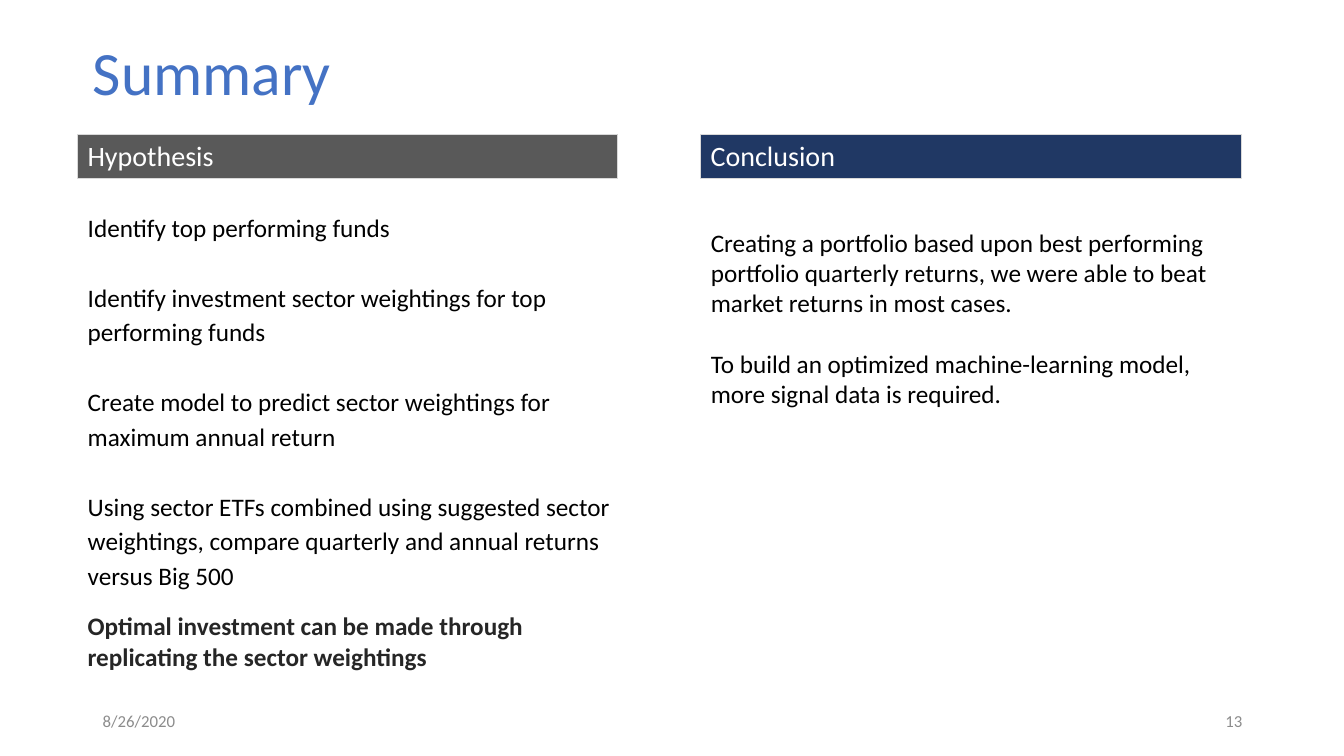
"""Builds the Summary slide: a hypothesis column beside a conclusion column."""
from dataclasses import dataclass

from lxml import etree
from pptx import Presentation
from pptx.dml.color import RGBColor
from pptx.enum.shapes import MSO_SHAPE
from pptx.enum.text import MSO_ANCHOR, MSO_AUTO_SIZE, PP_ALIGN
from pptx.oxml.ns import qn
from pptx.util import Inches, Pt

LEFT, RIGHT = PP_ALIGN.LEFT, PP_ALIGN.RIGHT
TOP, MIDDLE = MSO_ANCHOR.TOP, MSO_ANCHOR.MIDDLE
NO_FIT = MSO_AUTO_SIZE.NONE
RECTANGLE = MSO_SHAPE.RECTANGLE


@dataclass(frozen=True)
class Theme:
    font: str = "Calibri"
    title: str = "4472C4"
    body: str = "000000"
    emphasis: str = "262626"
    footer: str = "8C8C8C"
    heading: str = "FFFFFF"
    border: str = "D9D9D9"
    hypothesis: str = "595959"
    conclusion: str = "203864"
    title_size: int = 44
    heading_size: int = 20
    body_size: int = 18
    footer_size: int = 12


THEME = Theme()


def place(shape, left, top, width, height):
    shape.left, shape.top = Inches(left), Inches(top)
    shape.width, shape.height = Inches(width), Inches(height)


def write(shape, texts, size, color, align=LEFT, anchor=TOP, spacing=1.0, gap=0, bold=False):
    frame = shape.text_frame
    frame.word_wrap = True
    frame.auto_size = NO_FIT
    frame.vertical_anchor = anchor
    for number, text in enumerate(texts):
        para = frame.add_paragraph() if number else frame.paragraphs[0]
        para.alignment = align
        para.line_spacing = spacing
        para.space_before = Pt(0)
        para.space_after = Pt(gap if number < len(texts) - 1 else 0)
        span = para.add_run()
        span.text = text
        span.font.name = THEME.font
        span.font.size = Pt(size)
        span.font.bold = bold
        span.font.color.rgb = RGBColor.from_string(color)


deck = Presentation()
deck.slide_width, deck.slide_height = Inches(13.33), Inches(7.5)
page = deck.slides.add_slide(deck.slide_layouts[3])

title = page.shapes.title
place(title, 0.82, 0.29, 11.5, 0.91)
write(title, ["Summary"], THEME.title_size, THEME.title, anchor=MIDDLE, spacing=0.9)

hypothesis_points = [
    "Identify top performing funds",
    "Identify investment sector weightings for top performing funds",
    "Create model to predict sector weightings for maximum annual return",
    "Using sector ETFs combined using suggested sector weightings, "
    "compare quarterly and annual returns versus Big 500",
]
conclusion_points = [
    "Creating a portfolio based upon best performing portfolio quarterly returns, "
    "we were able to beat market returns in most cases.",
    "To build an optimized machine-learning model, more signal data is required.",
]
columns = [
    ("Hypothesis", THEME.hypothesis, 0.77, 1, (2.01, 5.61, 3.91), hypothesis_points, 1.15, 25),
    ("Conclusion", THEME.conclusion, 6.95, 2, (2.2, 5.46, 1.92), conclusion_points, 1.0, 22),
]
for heading, fill, left, slot, (top, width, height), points, spacing, gap in columns:
    banner = page.shapes.add_shape(RECTANGLE, Inches(left), Inches(1.33), Inches(5.36), Inches(0.44))
    banner.shadow.inherit = False
    banner.fill.solid()
    banner.fill.fore_color.rgb = RGBColor.from_string(fill)
    banner.line.color.rgb = RGBColor.from_string(THEME.border)
    banner.line.width = Pt(0.75)
    write(banner, [heading], THEME.heading_size, THEME.heading)

    body = page.placeholders[slot]
    place(body, left, top, width, height)
    write(body, points, THEME.body_size, THEME.body, spacing=spacing, gap=gap)
    for para in body.text_frame.paragraphs:
        properties = para._p.get_or_add_pPr()
        properties.set("marL", "0")
        properties.set("indent", "0")
        etree.SubElement(properties, qn("a:buNone"))

takeaway = page.shapes.add_textbox(Inches(0.77), Inches(6.01), Inches(5.61), Inches(0.71))
write(takeaway, ["Optimal investment can be made through replicating the sector weightings"],
      THEME.body_size, THEME.emphasis, bold=True)

for text, left, align in [("8/26/2020", 0.92, LEFT), ("13", 9.42, RIGHT)]:
    box = page.shapes.add_textbox(Inches(left), Inches(6.95), Inches(3), Inches(0.4))
    write(box, [text], THEME.footer_size, THEME.footer, align=align, anchor=MIDDLE)

deck.save("out.pptx")
